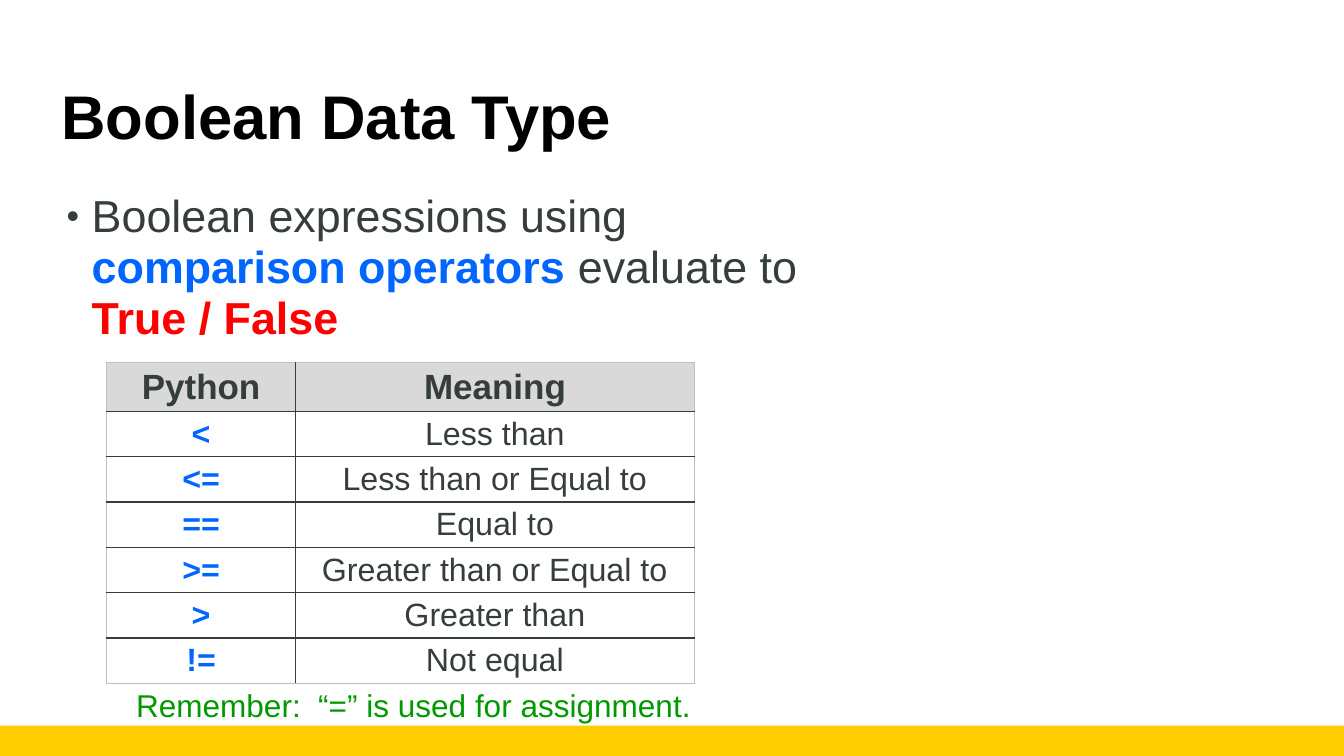
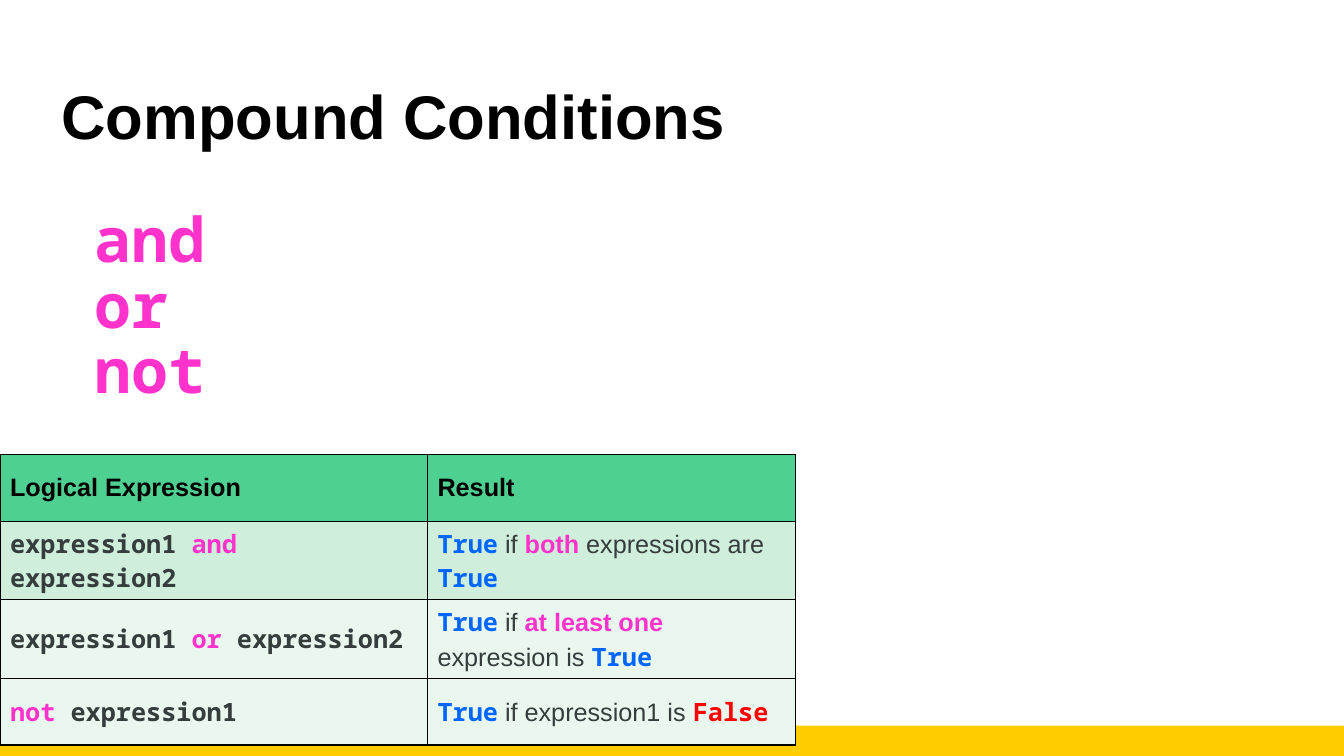
"""Builds two lecture slides on Boolean expressions and compound conditions."""
from collections import namedtuple

from lxml import etree
from pptx import Presentation
from pptx.dml import color
from pptx.enum import shapes, text
from pptx.oxml import ns
from pptx.util import Inches, Pt

SANS, MONO = "Arial", "Noto Sans Mono"
BLACK, WHITE, SLATE, GREY, SILVER = "000000", "FFFFFF", "363D3D", "D9D9D9", "BFBFBF"
BLUE, RED, GREEN, PINK, GOLD = "0066FF", "FF0000", "009900", "FF33CC", "FFCD00"
MINT, PALE_MINT, FAINT_MINT = "4FD093", "D0EEDC", "E9F7EE"

Ink = namedtuple("Ink", "color bold face", defaults=(False, SANS))
HEADING = Ink(BLACK, True)
PLAIN = Ink(SLATE)
STRONG = Ink(SLATE, True)
OPERATOR = Ink(BLUE, True)
STRESS = Ink(PINK, True)
CODE = Ink(SLATE, True, MONO)
KEYWORD = Ink(PINK, True, MONO)
TRUE = ("True", Ink(BLUE, True, MONO))
FALSE = ("False", Ink(RED, True, MONO))


def rgb(value):
    """Turn a hex string into a colour."""
    return color.RGBColor.from_string(value)


def apply_ink(font, field, value):
    """Set one ink field on a font."""
    if field == "color":
        font.color.rgb = rgb(value)
    elif field == "bold":
        font.bold = value
    else:
        font.name = value


def write(paragraph, pieces, size, align=text.PP_ALIGN.LEFT, spacing=None):
    """Fill a paragraph with (text, ink) pieces."""
    paragraph.alignment = align
    paragraph.space_before = Pt(0)
    if spacing:
        paragraph.line_spacing = spacing
    paragraph.font.size = Pt(size)
    runs = [paragraph.add_run() for _ in pieces]
    for run, (words, _) in zip(runs, pieces):
        run.text = words
    for field in Ink._fields:
        values = [getattr(ink, field) for _, ink in pieces]
        if len(set(values)) == 1:
            apply_ink(paragraph.font, field, values[0])
        else:
            for run, value in zip(runs, values):
                apply_ink(run.font, field, value)


def indent(paragraph, left, first, bullet=None):
    """Set the indents of a paragraph and its bullet, if any."""
    props = paragraph._p.get_or_add_pPr()
    props.set("marL", str(Inches(left)))
    props.set("indent", str(Inches(first)))
    if bullet:
        etree.SubElement(props, ns.qn("a:buSzPct"), val="80000")
        etree.SubElement(props, ns.qn("a:buChar"), char=bullet)
    else:
        etree.SubElement(props, ns.qn("a:buNone"))


def outline(cell, sides):
    """Draw one-point borders from a side-to-colour mapping."""
    props = cell._tc.get_or_add_tcPr()
    for side, value in sides.items():
        line = etree.SubElement(props, ns.qn(f"a:ln{side}"), w=str(Pt(1)))
        fill = etree.SubElement(line, ns.qn("a:solidFill"))
        etree.SubElement(fill, ns.qn("a:srgbClr"), val=value)


class Deck:
    """Holds the shared style and the current slide."""

    def __init__(self):
        """Open a wide presentation."""
        self.show = Presentation()
        self.show.slide_width = Inches(13.33)
        self.show.slide_height = Inches(7.5)
        self.slide = None

    def start(self, heading):
        """Begin a slide with its title."""
        self.slide = self.show.slides.add_slide(self.show.slide_layouts[1])
        if len(self.show.slides) == 1:
            self.master_band()
        frame = self.place(self.slide.shapes.title, (0.51, 0.51, 9.15, 1.35))
        frame.vertical_anchor = text.MSO_ANCHOR.MIDDLE
        write(frame.paragraphs[0], [(heading, HEADING)], 44, spacing=0.9)

    def master_band(self):
        """Put the gold footer band on the slide master."""
        band = self.slide.shapes.add_shape(
            shapes.MSO_SHAPE.RECTANGLE, 0, Inches(7.2), self.show.slide_width, Inches(0.3))
        band.shadow.inherit = False
        band.fill.solid()
        band.fill.fore_color.rgb = rgb(GOLD)
        band.line.fill.background()
        band.element.nvSpPr.cNvPr.set("id", "20")
        self.show.slide_master.shapes.element.append(band.element)

    def place(self, holder, box):
        """Move a text holder and return its wrapped frame."""
        holder.left, holder.top, holder.width, holder.height = map(Inches, box)
        frame = holder.text_frame
        frame.word_wrap = True
        frame.auto_size = text.MSO_AUTO_SIZE.NONE
        return frame

    def body(self, box, items, size, spacing, margins, bullet=None, level=0):
        """Fill the body placeholder with a list."""
        frame = self.place(self.slide.placeholders[1], box)
        frame.vertical_anchor = text.MSO_ANCHOR.TOP
        for index, pieces in enumerate(items):
            paragraph = frame.add_paragraph() if index else frame.paragraphs[0]
            paragraph.level = level
            indent(paragraph, *margins, bullet)
            write(paragraph, pieces, size, spacing=spacing)

    def note(self, box, words, ink, size):
        """Add a centred line of text without margins."""
        frame = self.place(self.slide.shapes.add_textbox(0, 0, 0, 0), box)
        frame.margin_left = frame.margin_right = frame.margin_top = frame.margin_bottom = 0
        frame.vertical_anchor = text.MSO_ANCHOR.MIDDLE
        write(frame.paragraphs[0], [(words, ink)], size, text.PP_ALIGN.CENTER)

    def table(self, corner, widths, heights, rows, fills, sizes, inner, outer,
              align=text.PP_ALIGN.LEFT, margin=None):
        """Add a bordered table whose cells hold (text, ink) pieces."""
        box = [Inches(n) for n in (*corner, sum(widths), sum(heights))]
        grid = self.slide.shapes.add_table(len(rows), len(widths), *box).table
        grid.first_row = grid.horz_banding = False
        for column, width in zip(grid.columns, widths):
            column.width = Inches(width)
        for r, row in enumerate(rows):
            grid.rows[r].height = Inches(heights[r])
            for c, pieces in enumerate(row):
                cell = grid.cell(r, c)
                edges = {"L": c == 0, "R": c == len(widths) - 1,
                         "T": r == 0, "B": r == len(rows) - 1}
                outline(cell, {side: outer if edge else inner for side, edge in edges.items()})
                cell.fill.solid()
                cell.fill.fore_color.rgb = rgb(fills[r])
                cell.vertical_anchor = text.MSO_ANCHOR.MIDDLE
                if margin is not None:
                    cell.margin_left = cell.margin_right = Inches(margin)
                    cell.margin_top = cell.margin_bottom = Inches(margin)
                write(cell.text_frame.paragraphs[0], pieces, sizes[r], align)


def boolean_slide(deck):
    """Show the comparison operators."""
    deck.start("Boolean Data Type")
    claim = [("Boolean expressions using ", PLAIN), ("comparison operators ", OPERATOR),
             ("evaluate to ", PLAIN), ("True / False", Ink(RED, True))]
    deck.body((0.51, 1.86, 8.19, 4.51), [claim], 32, 0.94, (0.3, -0.25), "•")
    deck.note((1.32, 6.78, 5.57, 0.42), "Remember:  “=” is used for assignment.", Ink(GREEN), 22.5)
    meanings = {"<": "Less than", "<=": "Less than or Equal to", "==": "Equal to",
                ">=": "Greater than or Equal to", ">": "Greater than", "!=": "Not equal"}
    rows = [[[("Python", STRONG)], [("Meaning", STRONG)]]]
    rows += [[[(sign, OPERATOR)], [(meaning, PLAIN)]] for sign, meaning in meanings.items()]
    count = len(meanings)
    deck.table((1.06, 3.6), (1.87, 3.96), [0.48] + [0.45] * count, rows,
               [GREY] + [WHITE] * count, [25] + [23] * count, SLATE, SILVER,
               text.PP_ALIGN.CENTER, 0.03)


def compound_slide(deck):
    """Show the logical operators and their results."""
    deck.start("Compound Conditions")
    keywords = [[(word, KEYWORD)] for word in ("and", "or", "not")]
    deck.body((0.16, 2.03, 2.48, 2.3), keywords, 44, 0.89, (0.68, 0), level=1)
    first, second = ("expression1 ", CODE), (" expression2", CODE)
    rows = [
        [[("Logical Expression", HEADING)], [("Result", HEADING)]],
        [[first, ("and", KEYWORD), second],
         [TRUE, (" if ", PLAIN), ("both", STRESS), (" expressions are ", PLAIN), TRUE]],
        [[first, ("or", KEYWORD), second],
         [TRUE, (" if ", PLAIN), ("at least one ", STRESS), ("expression is ", PLAIN), TRUE]],
        [[("not", KEYWORD), (" expression1", CODE)],
         [TRUE, (" if expression1 is ", PLAIN), FALSE]],
    ]
    deck.table((0, 4.51), (4.24, 3.65), [0.66] * 4, rows,
               [MINT, PALE_MINT, FAINT_MINT, FAINT_MINT], [18] * 4, BLACK, BLACK)


def main():
    """Build and save the deck."""
    deck = Deck()
    boolean_slide(deck)
    compound_slide(deck)
    deck.show.save("out.pptx")


if __name__ == "__main__":
    main()
